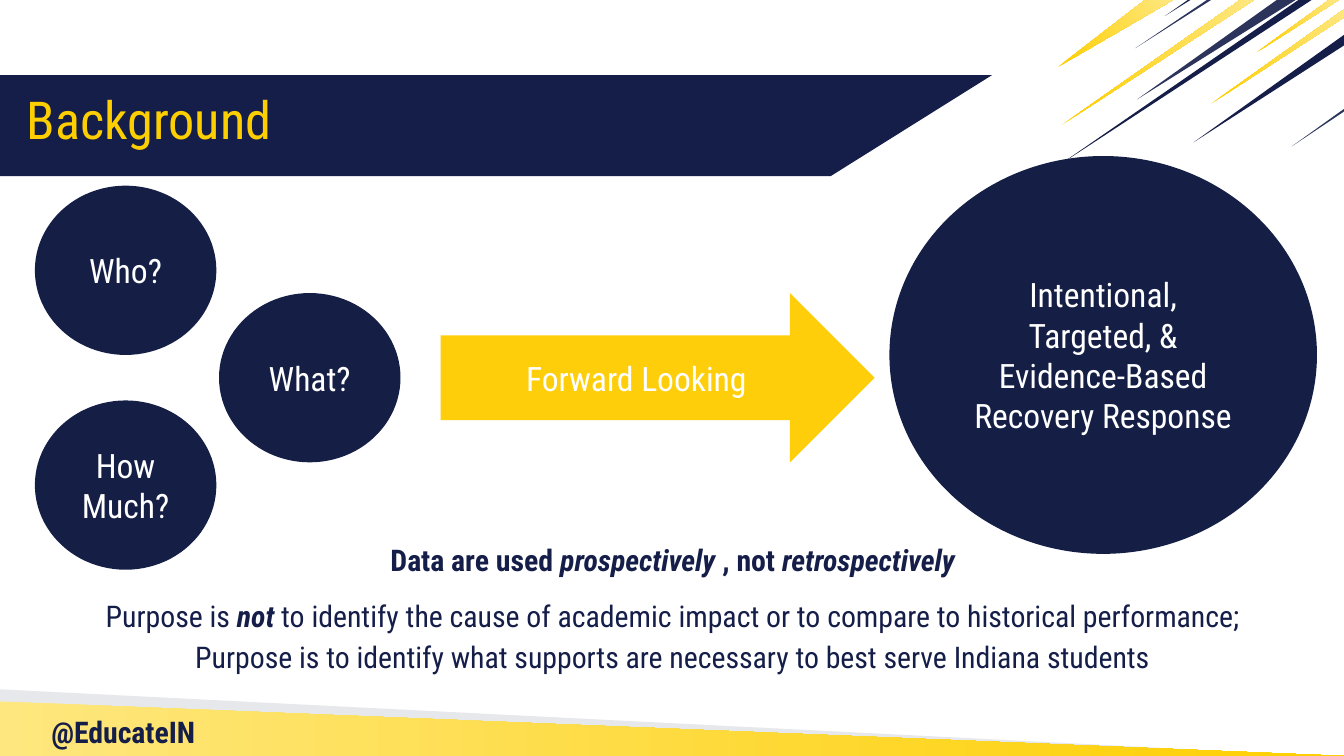
from dataclasses import dataclass

import pptx
import pptx.dml.color
import pptx.enum.shapes
import pptx.enum.text
import pptx.util
from lxml import etree
from pptx.oxml.ns import qn

Cm, Pt = pptx.util.Cm, pptx.util.Pt
SHAPE = pptx.enum.shapes.MSO_SHAPE
ALIGN = pptx.enum.text.PP_ALIGN
ANCHOR = pptx.enum.text.MSO_ANCHOR

FONT = "Roboto Condensed"
W, H = 25.4, 14.29
COLORS = {
    "white": "FFFFFF", "mist": "E7E8EC", "navy": "151E49", "slate": "2C345B",
    "disc": "151F46", "arrow": "FDCE09", "gold": "FECF00", "pale": "FEE77F",
}


@dataclass
class Polygon:
    """A closed outline in cm; two fill names make a gradient."""
    fills: tuple[str, ...]
    points: list[tuple[float, float]]
    angle: float = 35


@dataclass
class Block:
    text: str
    left: float
    top: float
    width: float = 3.43
    height: float = 3.2
    preset: SHAPE = SHAPE.OVAL
    fill: str = "disc"


STREAK = ("gold", "pale")
BACKDROP = [
    Polygon(("mist",), [(0, 13.03), (0, H), (22.61, 14.17)]),
    Polygon(("navy",), [(0, 1.42), (0, 3.33), (15.7, 3.33), (18.75, 1.42)]),
    Polygon(STREAK, [(23.75, 0.99), (25.3, 0), (25.12, 0)]),
    Polygon(("navy",), [(20.02, 3.12), (24.79, 0), (24.54, 0)]),
    Polygon(STREAK, [(21.64, 0), (19.99, 1.27), (22.17, 0)]),
    Polygon(STREAK, [(W, 0.33), (W, 0.18), (22.89, 1.96)]),
    Polygon(("slate",), [(24.49, 0), (24.13, 0), (21.49, 1.88)]),
    Polygon(("navy",), [(22.56, 2.69), (W, 0.86), (W, 0.66)]),
    Polygon(("slate",), [(W, 2.11), (W, 2.06), (24.41, 2.77)]),
    Polygon(("navy",), [(22.02, 0.3), (22.5, 0), (22.45, 0)]),
    Polygon(STREAK, [(20.07, 2.36), (23.7, 0), (23.44, 0)]),
    Polygon(("slate",), [(21.46, 0.91), (22.89, 0), (22.81, 0)]),
    Polygon(("pale", "gold"), [(0, 13.26), (0, H), (W, H)], angle=0),
]

ROW_TOP, ROW_STEP = 3.51, 2.03
BLOCKS = [
    Block("Forward Looking", 8.33, ROW_TOP + ROW_STEP, 8.2,
          preset=SHAPE.RIGHT_ARROW, fill="arrow"),
    Block("Who?", 0.66, ROW_TOP),
    Block("What?", 4.14, ROW_TOP + ROW_STEP),
    Block("How Much?", 0.66, ROW_TOP + 2 * ROW_STEP),
    Block("Intentional, Targeted, & Evidence-Based Recovery Response",
          16.81, 2.95, 8.08, 7.52),
]

PLAIN = {"bold": False, "italic": False}
BOLD = {"bold": True, "italic": False}
BOLD_ITALIC = {"bold": True, "italic": True}
MESSAGE = [
    [("Data are used ", BOLD), ("prospectively ", BOLD_ITALIC),
     (", not ", BOLD), ("retrospectively", BOLD_ITALIC)],
    [("Purpose is ", PLAIN), ("not", BOLD_ITALIC),
     (" to identify the cause of academic impact or to compare to historical "
      "performance; Purpose is to identify what supports are necessary to "
      "best serve Indiana students", PLAIN)],
]


def rgb(name: str) -> pptx.dml.color.RGBColor:
    return pptx.dml.color.RGBColor.from_string(COLORS[name])


def set_all(target, values: dict) -> None:
    for name, value in values.items():
        setattr(target, name, value)


def add_run(p, text: str, size: float, color: str, style: dict = PLAIN) -> None:
    r = p.add_run()
    r.text = text
    set_all(r.font, {"name": FONT, "size": Pt(size), **style})
    r.font.color.rgb = rgb(color)


def place(sp, left: float, top: float, width: float, height: float) -> None:
    set_all(sp, {"left": Cm(left), "top": Cm(top),
                 "width": Cm(width), "height": Cm(height)})


def format_frame(tf, inset: float, anchor=ANCHOR.TOP) -> None:
    sides = ("left", "top", "right", "bottom")
    set_all(tf, {f"margin_{side}": Cm(inset) for side in sides})
    set_all(tf, {"word_wrap": True, "vertical_anchor": anchor,
                 "auto_size": pptx.enum.text.MSO_AUTO_SIZE.NONE})


def draw_polygon(s, polygon: Polygon) -> None:
    start, *rest = [(Cm(x), Cm(y)) for x, y in polygon.points]
    builder = s.shapes.build_freeform(*start)
    builder.add_line_segments(rest, close=True)
    sp = builder.convert_to_shape()
    sp.shadow.inherit = False
    sp.line.fill.background()
    if len(polygon.fills) == 1:
        sp.fill.solid()
        sp.fill.fore_color.rgb = rgb(polygon.fills[0])
        return
    sp.fill.gradient()
    sp.fill.gradient_angle = polygon.angle
    for stop, name, position in zip(sp.fill.gradient_stops, polygon.fills, (0, 1)):
        stop.color.rgb = rgb(name)
        stop.position = position


def draw_block(s, block: Block) -> None:
    sp = s.shapes.add_shape(block.preset, Cm(block.left), Cm(block.top),
                            Cm(block.width), Cm(block.height))
    sp.shadow.inherit = False
    sp.line.fill.background()
    sp.fill.solid()
    sp.fill.fore_color.rgb = rgb(block.fill)
    sp.text_frame.vertical_anchor = ANCHOR.MIDDLE
    p = sp.text_frame.paragraphs[0]
    p.alignment = ALIGN.CENTER
    add_run(p, block.text, 18, "white")


def draw_handle(s) -> None:
    sp = s.shapes.add_textbox(Cm(0.84), Cm(13.36), Cm(5.18), Cm(0.51))
    format_frame(sp.text_frame, 0.13)
    add_run(sp.text_frame.paragraphs[0], "@EducateIN", 16, "navy", BOLD)


def fill_title(sp) -> None:
    place(sp, 0.51, 1.37, 15.82, 1.9)
    format_frame(sp.text_frame, 0, ANCHOR.MIDDLE)
    p = sp.text_frame.paragraphs[0]
    set_all(p, {"alignment": ALIGN.LEFT, "line_spacing": 0.9})
    add_run(p, "Background", 28, "gold")


def fill_message(sp) -> None:
    place(sp, 1.27, 9.96, 22.89, 3.76)
    tf = sp.text_frame
    format_frame(tf, 0.18)
    for i, runs in enumerate(MESSAGE):
        p = tf.add_paragraph() if i else tf.paragraphs[0]
        pPr = p._p.get_or_add_pPr()
        pPr.set("marL", "0")
        pPr.set("indent", "0")
        etree.SubElement(pPr, qn("a:buNone"))
        set_all(p, {"alignment": ALIGN.CENTER, "line_spacing": 1.15,
                    "space_before": Pt(8 if i else 0)})
        for text, style in runs:
            add_run(p, text, 16, "navy", style)


def main() -> None:
    prs = pptx.Presentation()
    set_all(prs, {"slide_width": Cm(W), "slide_height": Cm(H)})
    s = prs.slides.add_slide(prs.slide_layouts[1])
    title, message = s.shapes.title, s.placeholders[1]

    for polygon in BACKDROP:
        draw_polygon(s, polygon)
    draw_handle(s)
    fill_title(title)
    s.shapes.element.append(title.element)  # bring in front of the band
    for block in BLOCKS:
        draw_block(s, block)
    fill_message(message)
    s.shapes.element.append(message.element)

    prs.save("out.pptx")


if __name__ == "__main__":
    main()
